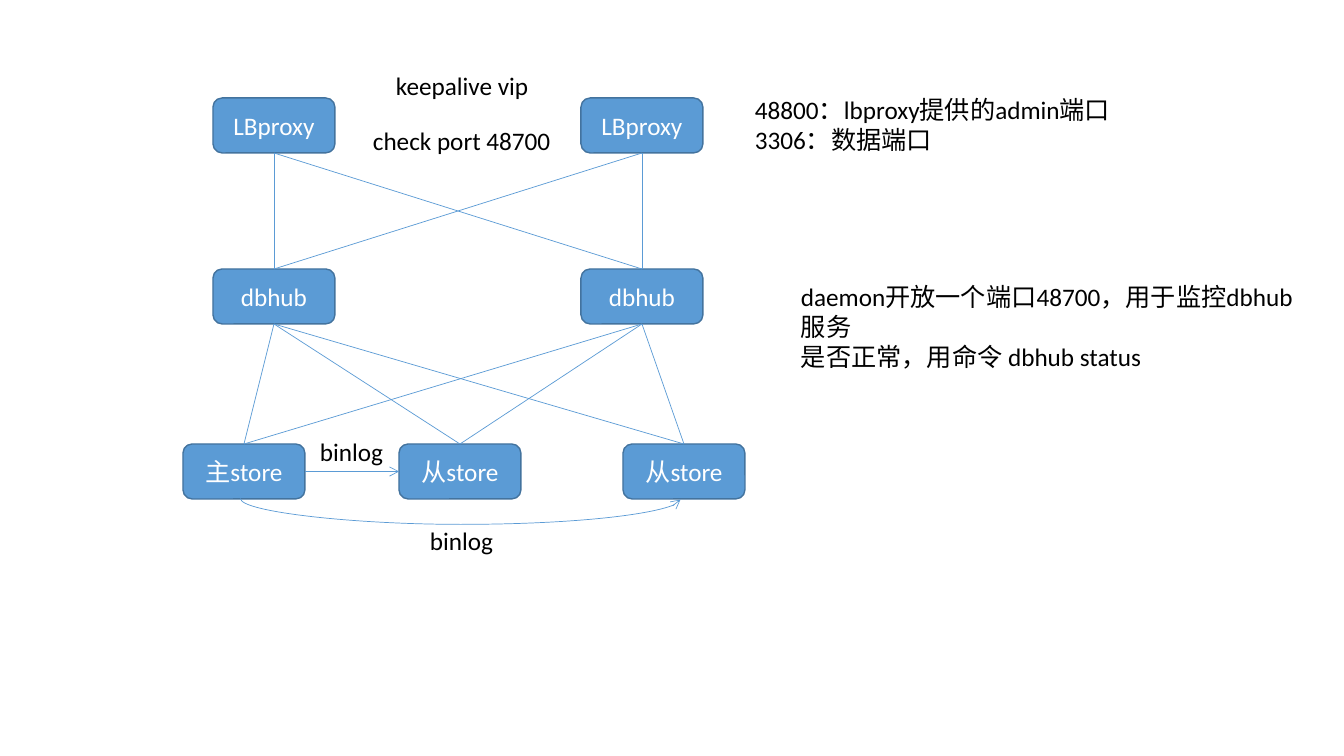
from itertools import product

from lxml.etree import SubElement
from pptx import Presentation
from pptx.dml.color import RGBColor
from pptx.enum.shapes import MSO_CONNECTOR, MSO_SHAPE
from pptx.enum.text import MSO_ANCHOR, PP_ALIGN
from pptx.oxml.ns import qn
from pptx.util import Emu, Pt

SCALE = 914400 / 100.8
COLORS = {"fill": "5B9BD5", "edge": "43739E", "light": "FFFFFF", "dark": "000000"}
COLORS = {name: RGBColor.from_string(code) for name, code in COLORS.items()}

deck = Presentation()
deck.slide_width, deck.slide_height = Emu(round(1344 * SCALE)), Emu(round(756 * SCALE))
slide = deck.slides.add_slide(deck.slide_layouts[6])
shapes = slide.shapes


def write(frame, text, color, align):
    frame.text = text
    for para in frame.paragraphs:
        para.alignment = align
        look = {"name": "Calibri", "size": Pt(18)}
        for key, value in look.items():
            setattr(para.font, key, value)
        para.font.color.rgb = COLORS[color]


def link(kind, ends, arrow=False):
    line = shapes.add_connector(kind, *[Emu(round(v * SCALE)) for v in ends])
    line.line.width = Pt(0.5)
    line.line.color.rgb = COLORS["fill"]
    if arrow:
        SubElement(line.line._get_or_add_ln(), qn("a:tailEnd"), type="arrow")
    SubElement(line._element.spPr, qn("a:effectLst"))
    return line


# Server boxes, tier by tier
tiers = [
    (98, [(213, "LBproxy"), (581, "LBproxy")]),
    (269, [(213, "dbhub"), (581, "dbhub")]),
    (444, [(183, "主store"), (399, "从store"), (623, "从store")]),
]
rows = []
for top, nodes in tiers:
    row = []
    for left, name in nodes:
        area = [Emu(round(v * SCALE)) for v in (left, top, 122, 55)]
        box = shapes.add_shape(MSO_SHAPE.ROUNDED_RECTANGLE, *area)
        box.shadow.inherit = False
        box.fill.solid()
        box.fill.fore_color.rgb = COLORS["fill"]
        box.line.color.rgb = COLORS["edge"]
        box.line.width = Pt(1)
        box.text_frame.vertical_anchor = MSO_ANCHOR.MIDDLE
        write(box.text_frame, name, "light", PP_ALIGN.CENTER)
        row.append(box)
    rows.append(row)

# Every box joins every box of the next tier
for upper, lower in zip(rows, rows[1:]):
    for start, end in product(upper, lower):
        line = link(MSO_CONNECTOR.STRAIGHT, (0, 0, 0, 0))
        line.begin_connect(start, 2)
        line.end_connect(end, 0)

# Replication arrows: straight to the first replica, curved to the second
main, near, far = rows[-1]
line = link(MSO_CONNECTOR.STRAIGHT, (0, 0, 0, 0), arrow=True)
line.begin_connect(main, 3)
line.end_connect(near, 1)

mid, base, half, sag = 460, 499, 220, 26
curve = link(MSO_CONNECTOR.CURVE, (mid, base + half, mid + 1, base - half), arrow=True)
props = curve._element.spPr
props.find(qn("a:xfrm")).set("rot", str(90 * 60000))
guides = props.find(qn("a:prstGeom")).find(qn("a:avLst"))
SubElement(guides, qn("a:gd"), name="adj1", fmla=f"val {sag * 100000}")

# Labels and notes
texts = [
    (386, 65, 164, 40, False, "keepalive vip"),
    (363, 120, 204, 40, False, "check port 48700"),
    (310, 431, 84, 40, False, "binlog"),
    (420, 520, 84, 40, False, "binlog"),
    (745, 89, 381, 72, True, "48800：lbproxy提供的admin端口\n3306：数据端口"),
    (791, 276, 536, 72, True,
     "daemon开放一个端口48700，用于监控dbhub服务\n是否正常，用命令 dbhub status"),
]
for *area, wrap, text in texts:
    label = shapes.add_textbox(*[Emu(round(v * SCALE)) for v in area])
    label.text_frame.word_wrap = wrap
    write(label.text_frame, text, "dark", PP_ALIGN.LEFT)

deck.save("out.pptx")
